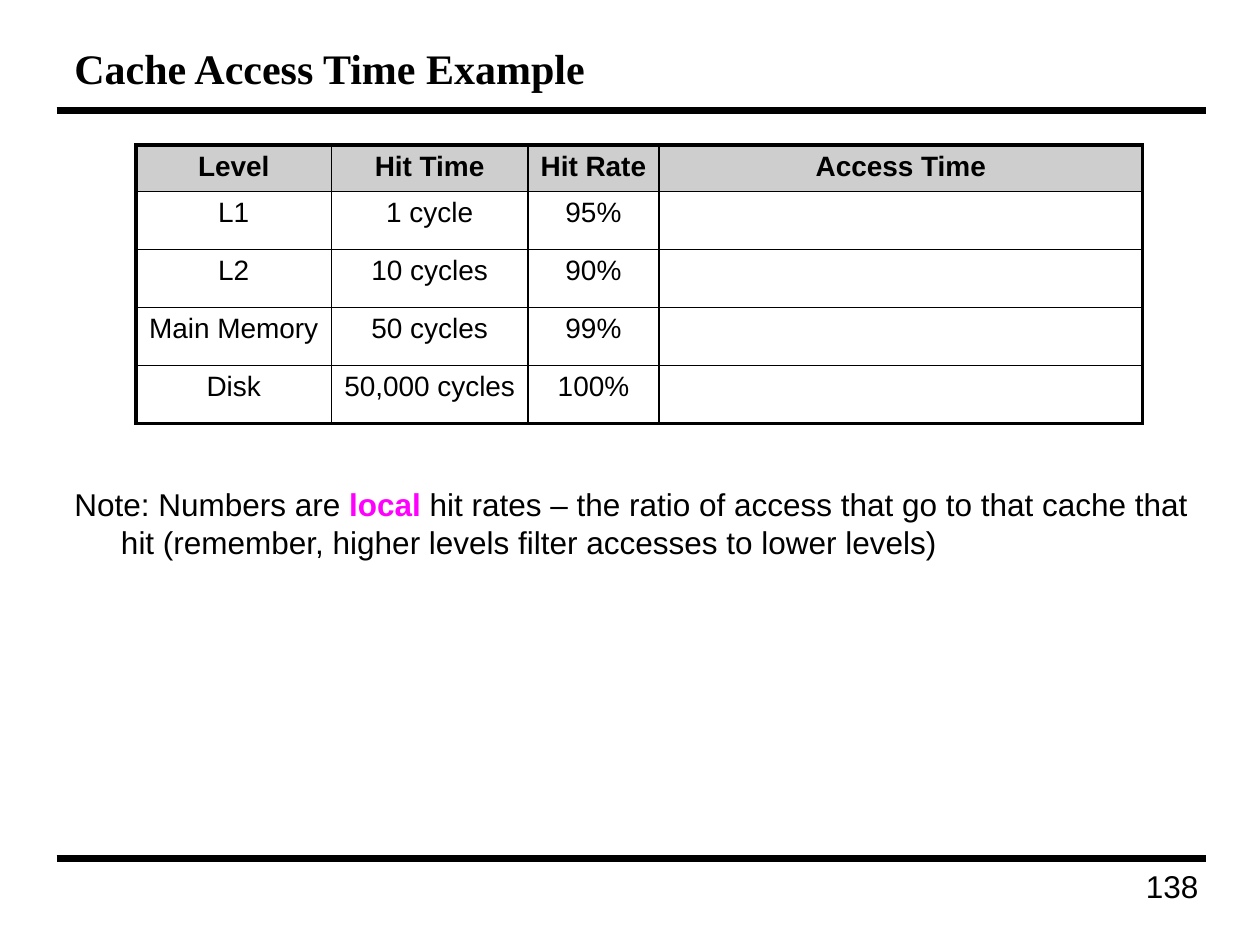
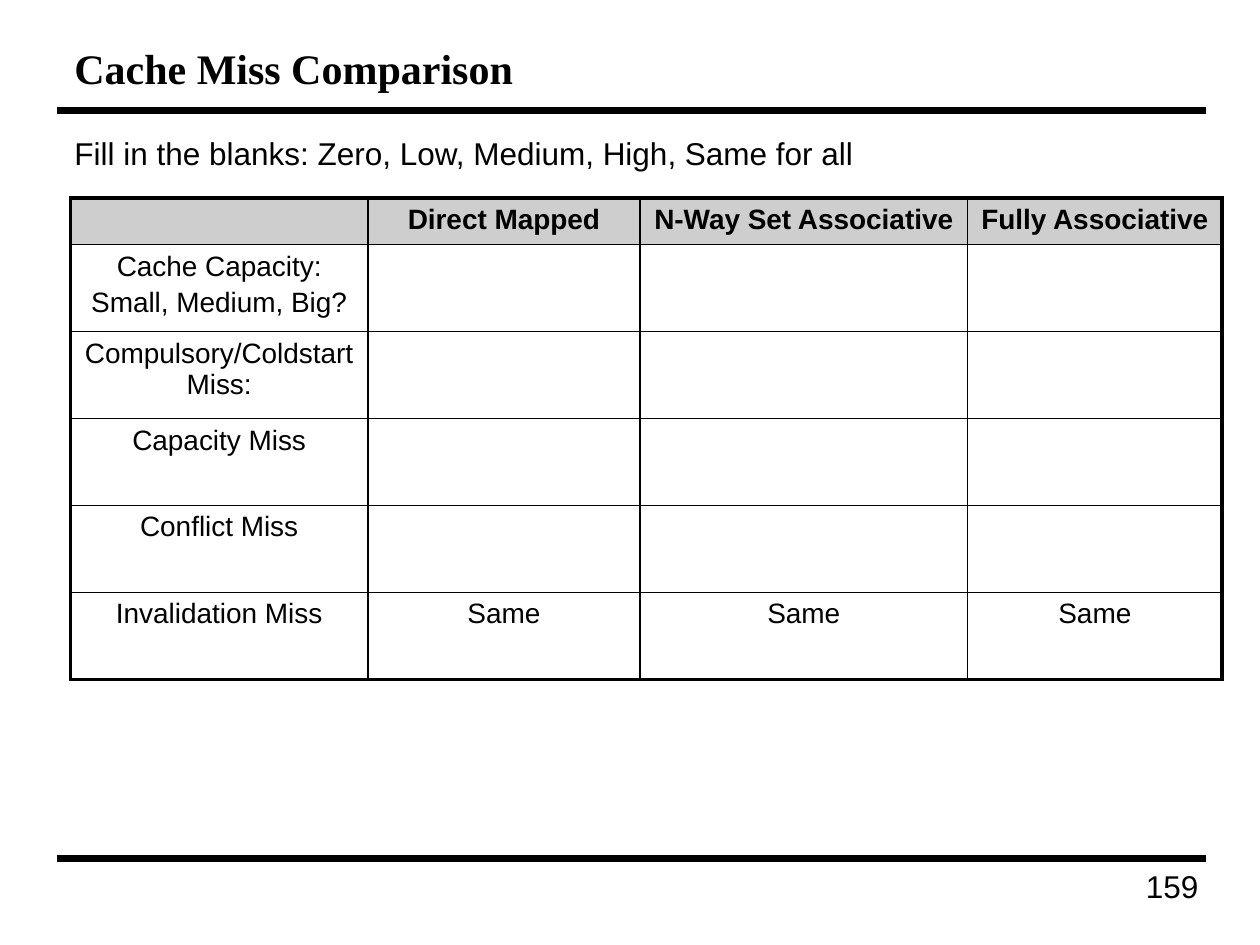
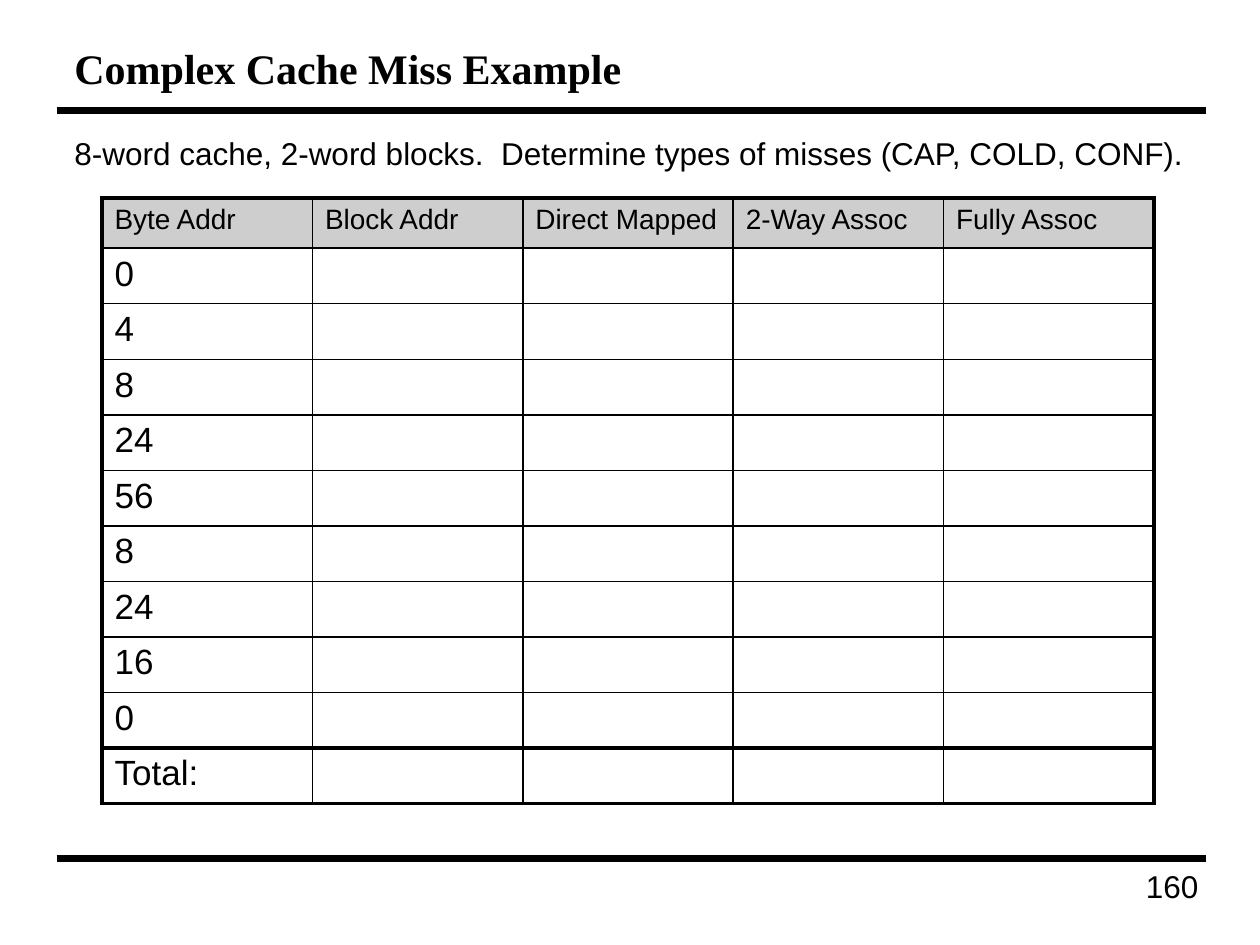
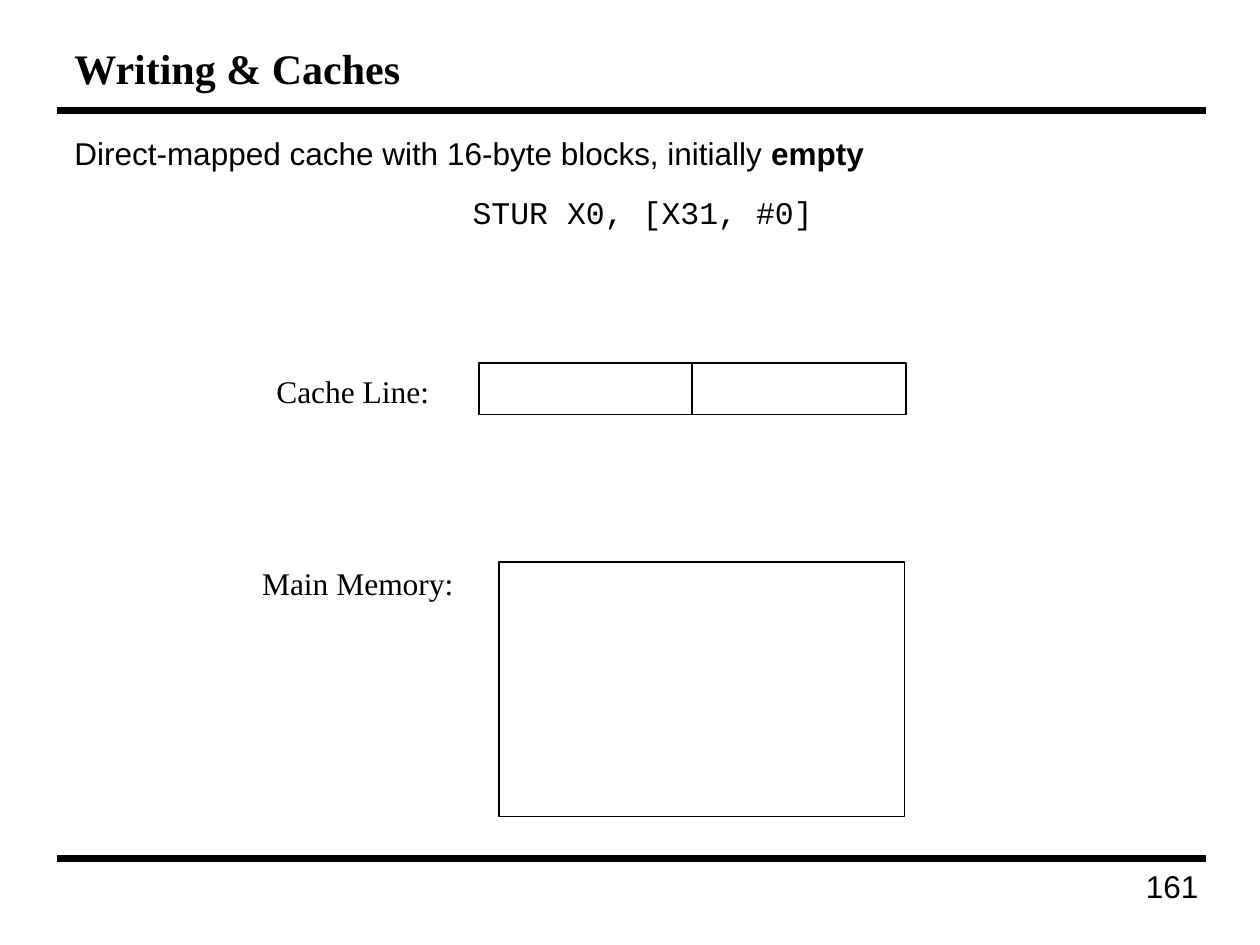
from lxml import etree
from pptx import Presentation
from pptx.dml.color import RGBColor
from pptx.enum.shapes import MSO_CONNECTOR, MSO_SHAPE
from pptx.enum.text import MSO_ANCHOR, MSO_AUTO_SIZE, PP_ALIGN
from pptx.oxml.ns import qn
from pptx.util import Inches, Pt

BLACK = RGBColor(0x00, 0x00, 0x00)
WHITE = RGBColor(0xFF, 0xFF, 0xFF)
HEADER_GREY = RGBColor(0xCE, 0xCE, 0xCE)
MAGENTA = RGBColor(0xFF, 0x00, 0xFF)

SANS, SERIF, MONO = "Arial", "Times New Roman", "Courier New"
THIN, THICK, RULE = 1, 2.25, 4

STRAIGHT, RECTANGLE = MSO_CONNECTOR.STRAIGHT, MSO_SHAPE.RECTANGLE
TOP, MIDDLE = MSO_ANCHOR.TOP, MSO_ANCHOR.MIDDLE
FIXED, GROW = MSO_AUTO_SIZE.NONE, MSO_AUTO_SIZE.SHAPE_TO_FIT_TEXT
LEFT, CENTER, RIGHT = PP_ALIGN.LEFT, PP_ALIGN.CENTER, PP_ALIGN.RIGHT


class Deck:
    """Shared style and the slide being built."""

    def __init__(self):
        self.prs = Presentation()
        self.prs.slide_width, self.prs.slide_height = Inches(10), Inches(7.5)
        self.slide = None

    def new_slide(self, title, number):
        """Start a slide with its title, two rules and page number."""
        self.slide = self.prs.slides.add_slide(self.prs.slide_layouts[1])
        heading = self.slide.shapes.title
        self.place(heading, 0.49, 0.25, 9.04, 0.58)
        frame = heading.text_frame
        frame.auto_size, frame.vertical_anchor = FIXED, MIDDLE
        frame.paragraphs[0].alignment = LEFT
        self.run(frame.paragraphs[0], title, 24, SERIF, bold=True)
        for y in (0.88, 6.81):
            self.line(self.slide.shapes, (0.45, y), (9.57, y), RULE)
        self.text(self.slide.shapes, number, 7.56, 6.83, 2.05, 0.49,
                  SANS, RIGHT, wrap=True)

    def place(self, shape, left, top, width, height):
        shape.left, shape.top = Inches(left), Inches(top)
        shape.width, shape.height = Inches(width), Inches(height)

    def run(self, paragraph, text, size, font=SANS, bold=False, color=BLACK):
        run = paragraph.add_run()
        run.text = text
        run.font.size, run.font.name = Pt(size), font
        run.font.bold, run.font.color.rgb = bold, color

    def body(self, *pieces, inset=0.07):
        """Fill the body with one hanging paragraph of (text, style) pieces."""
        body = self.slide.placeholders[1]
        self.place(body, 0.49, 0.99, 9.04, 5.76)
        frame = body.text_frame
        frame.auto_size, frame.vertical_anchor = FIXED, TOP
        frame.margin_top = Inches(inset)
        paragraph = frame.paragraphs[0]
        paragraph.space_before = Pt(0)
        properties = paragraph._p.get_or_add_pPr()
        properties.set("marL", str(Inches(0.37)))
        properties.set("indent", str(-Inches(0.37)))
        etree.SubElement(properties, qn("a:buNone"))
        for text, style in pieces:
            self.run(paragraph, text, 18, **style)

    def text(self, shapes, text, left, top, width, height, font,
             align=CENTER, wrap=False):
        box = shapes.add_textbox(Inches(left), Inches(top), Inches(width), Inches(height))
        frame = box.text_frame
        frame.word_wrap = wrap
        frame.auto_size = FIXED if wrap else GROW
        frame.paragraphs[0].alignment = align
        self.run(frame.paragraphs[0], text, 18, font)

    def line(self, shapes, start, end, weight):
        x1, y1, x2, y2 = (Inches(v) for v in (*start, *end))
        line = shapes.add_connector(STRAIGHT, x1, y1, x2, y2)
        line.line.color.rgb, line.line.width = BLACK, Pt(weight)
        etree.SubElement(line._element.spPr, qn("a:effectLst"))

    def box(self, shapes, left, top, width, height):
        box = shapes.add_shape(RECTANGLE, Inches(left), Inches(top),
                               Inches(width), Inches(height))
        box.shadow.inherit = False
        box.fill.solid()
        box.fill.fore_color.rgb = WHITE
        box.line.color.rgb, box.line.width = BLACK, Pt(THIN)

    def group(self):
        return self.slide.shapes.add_group_shape().shapes

    def borders(self, cell, **weights):
        properties = cell._tc.get_or_add_tcPr()
        for side in "LRTB":
            edge = etree.SubElement(properties, qn(f"a:ln{side}"),
                                    w=str(Pt(weights[side])))
            fill = etree.SubElement(edge, qn("a:solidFill"))
            etree.SubElement(fill, qn("a:srgbClr"), val=str(BLACK))

    def table(self, left, top, widths, heights, rows, align=CENTER,
              header_bold=True, size=16, total_row=False):
        """Draw a table with a grey header and a thick outer frame."""
        last_row, last_col = len(heights) - 1, len(widths) - 1
        table = self.slide.shapes.add_table(
            len(heights), len(widths), Inches(left), Inches(top),
            Inches(sum(widths)), Inches(sum(heights))).table
        table.first_row = table.horz_banding = False
        for column, width in zip(table.columns, widths):
            column.width = Inches(width)
        for row, height in zip(table.rows, heights):
            row.height = Inches(height)

        # Horizontal grid lines that are thick
        thick_rows = {0, last_row + 1}
        if total_row:
            thick_rows.add(last_row)

        for r, texts in enumerate(rows):
            for c in range(len(widths)):
                cell = table.cell(r, c)
                self.borders(cell,
                             L=THICK if c == 0 else THIN,
                             R=THICK if c == last_col else THIN,
                             T=THICK if r in thick_rows else THIN,
                             B=THICK if r + 1 in thick_rows else THIN)
                if r == 0:
                    cell.fill.solid()
                    cell.fill.fore_color.rgb = HEADER_GREY
                else:
                    cell.fill.background()
                text = texts[c] if c < len(texts) else ""
                self.cell_text(cell, text, 16 if r == 0 else size, align,
                               header_bold and r == 0)

    def cell_text(self, cell, text, size, align, bold):
        frame = cell.text_frame
        for i, line in enumerate(text.split("\n")):
            paragraph = frame.add_paragraph() if i else frame.paragraphs[0]
            paragraph.alignment = align
            if i:
                paragraph.space_before = Pt(0.2 * size)
            if line:
                self.run(paragraph, line, size, bold=bold)
            else:
                etree.SubElement(paragraph._p, qn("a:endParaRPr"), sz=str(size * 100))


def access_time(deck):
    deck.new_slide("Cache Access Time Example", "138")
    deck.body(
        ("Note: Numbers are ", {}),
        ("local", {"bold": True, "color": MAGENTA}),
        (" hit rates – the ratio of access that go to that cache that hit "
         "(remember, higher levels filter accesses to lower levels)", {}),
        inset=2.86)
    deck.table(1.08, 1.15, [1.55, 1.56, 1.04, 3.84], [0.37] + [0.46] * 4, [
        ["Level", "Hit Time", "Hit Rate", "Access Time"],
        ["L1", "1 cycle", "95%"],
        ["L2", "10 cycles", "90%"],
        ["Main Memory", "50 cycles", "99%"],
        ["Disk", "50,000 cycles", "100%"],
    ])


def miss_comparison(deck):
    deck.new_slide("Cache Miss Comparison", "159")
    deck.body(("Fill in the blanks: Zero, Low, Medium, High, Same for all", {}))
    deck.table(0.56, 1.57, [2.36, 2.16, 2.6, 2.02], [0.37] + [0.69] * 5, [
        ["", "Direct Mapped", "N-Way Set Associative", "Fully Associative"],
        ["Cache Capacity:\nSmall, Medium, Big?"],
        ["Compulsory/Coldstart Miss:"],
        ["Capacity Miss"],
        ["Conflict Miss"],
        ["Invalidation Miss", "Same", "Same", "Same"],
    ])


def miss_example(deck):
    deck.new_slide("Complex Cache Miss Example", "160")
    deck.body(("8-word cache, 2-word blocks.  Determine types of misses "
               "(CAP, COLD, CONF).", {}))
    header = ["Byte Addr", "Block Addr", "Direct Mapped", "2-Way Assoc", "Fully Assoc"]
    addresses = ["0", "4", "8", "24", "56", "8", "24", "16", "0"]
    rows = [header] + [[address] for address in addresses] + [["Total:"]]
    deck.table(0.81, 1.57, [1.67] * 5, [0.4] * len(rows), rows, align=LEFT,
               header_bold=False, size=20, total_row=True)


def writing(deck):
    deck.new_slide("Writing & Caches", "161")
    deck.body(("Direct-mapped cache with 16-byte blocks, initially ", {}),
              ("empty", {"bold": True}))

    # Main memory
    memory = deck.group()
    deck.box(memory, 3.96, 4.46, 3.22, 2.02)
    deck.text(memory, "Main Memory:", 1.98, 4.43, 1.72, 0.4, SERIF)

    # Cache line of two words
    cache_line = deck.group()
    deck.box(cache_line, 3.8, 2.88, 3.39, 0.41)
    deck.text(cache_line, "Cache Line:", 2.09, 2.9, 1.42, 0.4, SERIF)
    deck.line(cache_line, (5.49, 2.88), (5.49, 3.29), THIN)

    # Store instruction
    deck.text(deck.slide.shapes, "STUR X0, [X31, #0]", 3.64, 1.48, 2.92, 0.4, MONO)


def main():
    deck = Deck()
    for build in (access_time, miss_comparison, miss_example, writing):
        build(deck)
    deck.prs.save("out.pptx")


if __name__ == "__main__":
    main()
